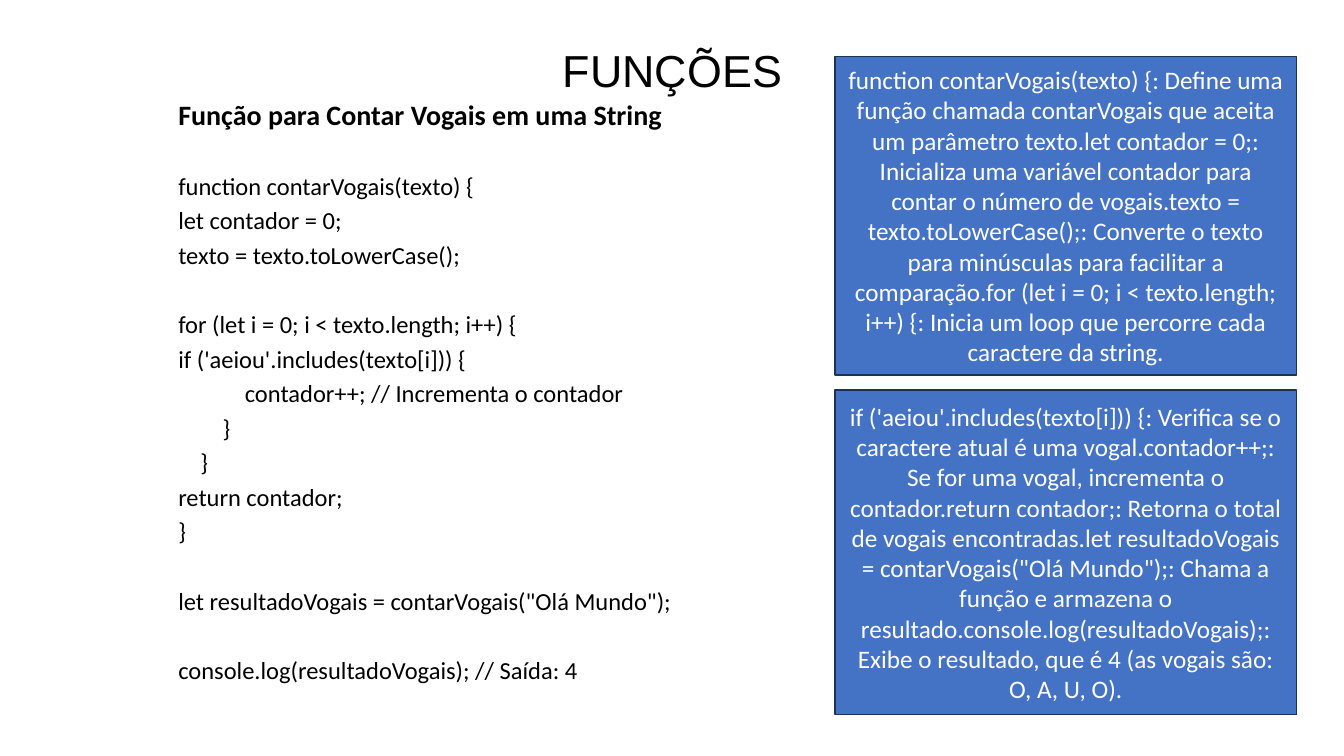
from pptx import Presentation
from pptx.dml.color import RGBColor
from pptx.enum.shapes import MSO_SHAPE as Shape
from pptx.enum.text import MSO_ANCHOR as Anchor, PP_ALIGN as Align
from pptx.util import Inches, Pt

BLACK, WHITE, BLUE, NAVY = "000000", "FFFFFF", "4472C4", "1E3256"
CODE_SIZE = 17.5
LINE_GAP, BLOCK_GAP = 10, 34.7  # space before a line, and before a new block
INDENT = 0.22  # one level of code indentation

# Each code line: indentation level, starts a new block, text
CODE = [
    (0, True, "function contarVogais(texto) {"),
    (0, False, "let contador = 0;"),
    (0, False, "texto = texto.toLowerCase();"),
    (0, True, "for (let i = 0; i < texto.length; i++) {"),
    (0, False, "if ('aeiou'.includes(texto[i])) {"),
    (3, False, "contador++; // Incrementa o contador"),
    (2, False, "}"),
    (1, False, "}"),
    (0, False, "return contador;"),
    (0, False, "}"),
    (0, True, 'let resultadoVogais = contarVogais("Olá Mundo");'),
    (0, True, "console.log(resultadoVogais); // Saída: 4"),
]

SETUP_NOTE = (
    "function contarVogais(texto) {: Define uma função chamada contarVogais que "
    "aceita um parâmetro texto.let contador = 0;: Inicializa uma variável contador "
    "para contar o número de vogais.texto = texto.toLowerCase();: Converte o texto "
    "para minúsculas para facilitar a comparação.for (let i = 0; i < texto.length; "
    "i++) {: Inicia um loop que percorre cada caractere da string."
)
RESULT_NOTE = (
    "if ('aeiou'.includes(texto[i])) {: Verifica se o caractere atual é uma "
    "vogal.contador++;: Se for uma vogal, incrementa o contador.return contador;: "
    "Retorna o total de vogais encontradas.let resultadoVogais = "
    'contarVogais("Olá Mundo");: Chama a função e armazena o '
    "resultado.console.log(resultadoVogais);: Exibe o resultado, que é 4 "
    "(as vogais são: O, A, U, O)."
)


def color(value):
    return RGBColor.from_string(value)


def write(paragraph, text, font, size, ink, bold=False, **layout):
    """Fill one paragraph; layout holds paragraph attributes."""
    for name, value in layout.items():
        setattr(paragraph, name, value)
    run = paragraph.add_run()
    run.text = text
    formats = {"name": font, "size": Pt(size), "bold": bold}
    for name, value in formats.items():
        setattr(run.font, name, value)
    run.font.color.rgb = color(ink)


def text_frame(slide, box, anchor):
    frame = slide.shapes.add_textbox(*map(Inches, box)).text_frame
    frame.word_wrap = True
    frame.vertical_anchor = anchor
    return frame


def add_title(slide, box):
    frame = text_frame(slide, box, Anchor.BOTTOM)
    write(frame.paragraphs[0], "FUNÇÕES", "Arial", 32, BLACK,
          alignment=Align.CENTER, line_spacing=0.9)


def add_code(slide, box):
    frame = text_frame(slide, box, Anchor.TOP)
    write(frame.paragraphs[0], "Função para Contar Vogais em uma String",
          "Calibri", 20, BLACK, bold=True,
          line_spacing=0.7, space_before=Pt(LINE_GAP))
    for level, new_block, text in CODE:
        line = frame.add_paragraph()
        write(line, text, "Calibri", CODE_SIZE, BLACK, line_spacing=0.7,
              space_before=Pt(BLOCK_GAP if new_block else LINE_GAP))
        if level:
            line._p.get_or_add_pPr().set("marL", str(Inches(level * INDENT)))


def add_note(slide, box, text):
    note = slide.shapes.add_shape(Shape.RECTANGLE, *map(Inches, box))
    note.shadow.inherit = False
    note.fill.solid()
    note.fill.fore_color.rgb = color(BLUE)
    note.line.color.rgb = color(NAVY)
    note.line.width = Pt(1)
    frame = note.text_frame
    frame.word_wrap = True
    frame.vertical_anchor = Anchor.MIDDLE
    write(frame.paragraphs[0], text, "Calibri", 18, WHITE, alignment=Align.CENTER)


def main():
    deck = Presentation()
    deck.slide_width, deck.slide_height = Inches(13.33), Inches(7.5)
    slide = deck.slides.add_slide(deck.slide_layouts[6])

    # Title and code share one column
    left, width, title_top, title_height = 1.67, 10, 0.33, 0.68
    add_title(slide, (left, title_top, width, title_height))
    add_code(slide, (left, title_top + title_height, width, 6.16))

    # Explanations stacked on the right
    note_left, note_width, top, gap = 8.28, 4.58, 0.56, 0.15
    for text, height in ((SETUP_NOTE, 3.16), (RESULT_NOTE, 3.22)):
        add_note(slide, (note_left, top, note_width, height), text)
        top += height + gap

    deck.save("out.pptx")


if __name__ == "__main__":
    main()
